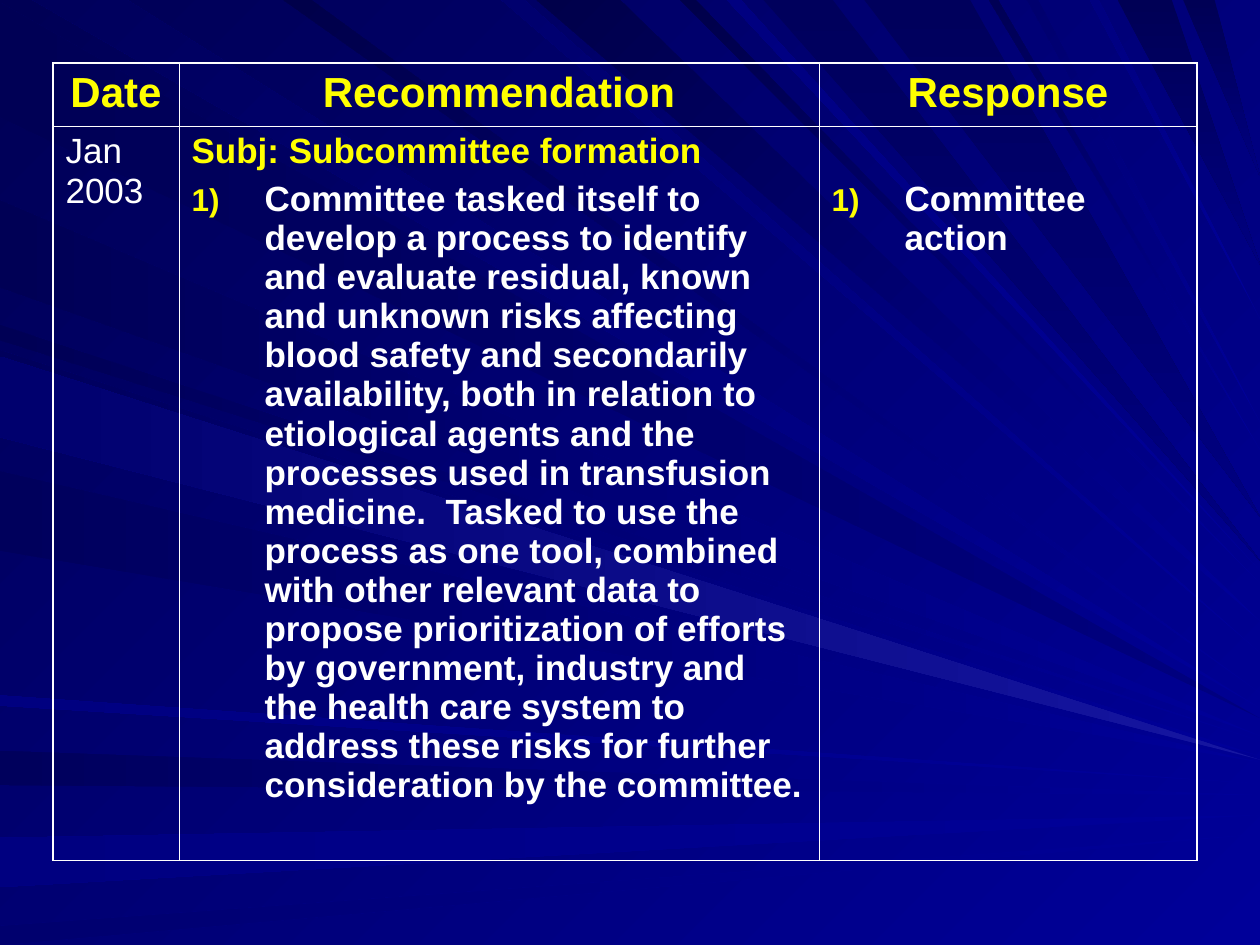
from lxml import etree
from pptx import Presentation
from pptx.dml.color import RGBColor
from pptx.enum.text import PP_ALIGN
from pptx.oxml.ns import qn
from pptx.util import Inches, Pt

CENTER, LEFT = PP_ALIGN.CENTER, PP_ALIGN.LEFT
FONT = "Arial"
WHITE = RGBColor.from_string("FFFFFF")
GOLD = RGBColor.from_string("FFFF00")
GLOW = RGBColor.from_string("1616A1")
BLUE = RGBColor.from_string("000099")
ROYAL = RGBColor.from_string("000080")
NAVY = RGBColor.from_string("00006E")
DEEP = RGBColor.from_string("00005C")
DARK = RGBColor.from_string("000055")
INK = RGBColor.from_string("00004A")
SIDE, DIAG, DOWN = 180, 135, 270

LEFT_RAYS = [
    (0.02, 0.93, 5.7, ROYAL, DARK),
    (5.96, 6.23, 6.31, BLUE, DEEP),
    (6.65, 7.04, 6.47, BLUE, ROYAL),
    (7.35, 7.5, 6.62, BLUE, NAVY),
    (2.58, 2.7, 5.88, BLUE, DARK),
    (1.59, 2.28, 5.84, BLUE, DARK),
    (2.78, 3.42, 6, BLUE, DEEP),
    (3.74, 4.37, 6.05, BLUE, DEEP),
    (5.52, 5.6, 6.22, BLUE, ROYAL),
    (2.83, 3.47, 6.03, GLOW, NAVY),
]
TOP_RAYS = [
    (0.26, 1.01, 5.62, BLUE, DEEP, DIAG),
    (3.98, 4.16, 5.18, BLUE, NAVY, DIAG),
    (4.26, 4.92, 4.93, BLUE, INK, DIAG),
    (5.4, 5.52, 4.63, BLUE, INK, DIAG),
    (6.06, 6.61, 4.45, DEEP, ROYAL, DOWN),
    (8.87, 9.3, 2.1, DARK, ROYAL, DOWN),
    (9.39, 9.64, 1.4, DARK, ROYAL, DOWN),
    (2.25, 2.47, 5.5, BLUE, INK, DIAG),
    (5.77, 5.88, 4.53, BLUE, ROYAL, DIAG),
    (6.86, 7.7, 4.1, DEEP, ROYAL, DOWN),
    (7.85, 7.92, 3.57, BLUE, DARK, DIAG),
    (8.15, 8.24, 3.35, BLUE, NAVY, DIAG),
    (8.65, 8.72, 2.53, BLUE, ROYAL, DIAG),
]

TASK = (
    "Committee tasked itself to develop a process to identify and evaluate residual, "
    "known and unknown risks affecting blood safety and secondarily availability, both "
    "in relation to etiological agents and the processes used in transfusion medicine.  "
    "Tasked to use the process as one tool, combined with other relevant data to propose "
    "prioritization of efforts by government, industry and the health care system to "
    "address these risks for further consideration by the committee."
)
STYLES = {
    "head": (24, GOLD, True, CENTER),
    "date": (20, WHITE, False, LEFT),
    "subj": (20, GOLD, True, LEFT),
    "item": (20, WHITE, True, LEFT),
}
ROWS = [
    [[("head", "Date")], [("head", "Recommendation")], [("head", "Response")]],
    [
        [("date", "Jan 2003")],
        [("subj", "Subj: Subcommittee formation"), ("item", TASK)],
        [("item", "Committee action")],
    ],
]
WIDTHS = [1, 5.08, 3]
HEIGHTS = [0.5, 5.83]
ITEM_TOP = 0.43


def blend(fill, start, end, angle):
    fill.gradient()
    fill.gradient_angle = angle
    for stop, color in zip(fill.gradient_stops, (start, end)):
        stop.color.rgb = color


def draw_ray(slide, points, start, end, angle):
    first, *rest = [(Inches(x), Inches(y)) for x, y in points]
    pen = slide.shapes.build_freeform(*first)
    pen.add_line_segments(rest, close=True)
    ray = pen.convert_to_shape()
    ray.shadow.inherit = False
    ray.line.fill.background()
    blend(ray.fill, start, end, angle)


def add_number(props):
    tint = etree.SubElement(props, qn("a:buClr"))
    etree.SubElement(tint, qn("a:srgbClr"), val=str(GOLD))
    etree.SubElement(props, qn("a:buSzPct"), val="90000")
    etree.SubElement(props, qn("a:buFont"), typeface=FONT)
    etree.SubElement(props, qn("a:buAutoNum"), type="arabicParenR")


def write(para, style, text):
    size, color, bold, align = STYLES[style]
    props = para._p.get_or_add_pPr()
    if style in ("subj", "item"):
        props.set("marL", str(Inches(0.58)))
        props.set("indent", str(-Inches(0.58)))
    if style == "item":
        add_number(props)
    para.text = text
    para.alignment = align
    font = para.font
    font.name, font.size, font.bold = FONT, Pt(size), bold
    font.color.rgb = color


def add_edges(cell, row, col):
    outer = {"L": col == 0, "R": col == len(WIDTHS) - 1,
             "T": row == 0, "B": row == len(HEIGHTS) - 1}
    props = cell._tc.get_or_add_tcPr()
    for side, thick in outer.items():
        width = Pt(1.08 if thick else 0.45)
        line = etree.SubElement(props, qn("a:ln" + side), w=str(width))
        paint = etree.SubElement(line, qn("a:solidFill"))
        etree.SubElement(paint, qn("a:srgbClr"), val=str(WHITE))


def fill_cell(cell, row, col, paras):
    add_edges(cell, row, col)
    cell.fill.background()
    cell.margin_left = cell.margin_right = Inches(0.1)
    cell.margin_bottom = Inches(0.05)
    cell.margin_top = Inches(ITEM_TOP if paras[0][0] == "item" else 0.05)
    frame = cell.text_frame
    for i, (style, text) in enumerate(paras):
        para = frame.add_paragraph() if i else frame.paragraphs[0]
        write(para, style, text)
        if i:
            para.space_before = Pt(5)


def main():
    deck = Presentation()
    deck.slide_width, deck.slide_height = Inches(10), Inches(7.5)
    slide = deck.slides.add_slide(deck.slide_layouts[6])
    blend(slide.background.fill, BLUE, DARK, DIAG)
    for high, low, tip, start, end in LEFT_RAYS:
        draw_ray(slide, [(0, high), (0, low), (10, tip)], start, end, SIDE)
    for near, far, tip, start, end, angle in TOP_RAYS:
        draw_ray(slide, [(near, 0), (far, 0), (10, tip)], start, end, angle)

    table = slide.shapes.add_table(
        len(HEIGHTS), len(WIDTHS), Inches(0.42), Inches(0.5),
        Inches(sum(WIDTHS)), Inches(sum(HEIGHTS))).table
    table.first_row = table.horz_banding = False
    for col, width in enumerate(WIDTHS):
        table.columns[col].width = Inches(width)
    for row, height in enumerate(HEIGHTS):
        table.rows[row].height = Inches(height)
        for col, paras in enumerate(ROWS[row]):
            fill_cell(table.cell(row, col), row, col, paras)
    deck.save("out.pptx")


if __name__ == "__main__":
    main()
